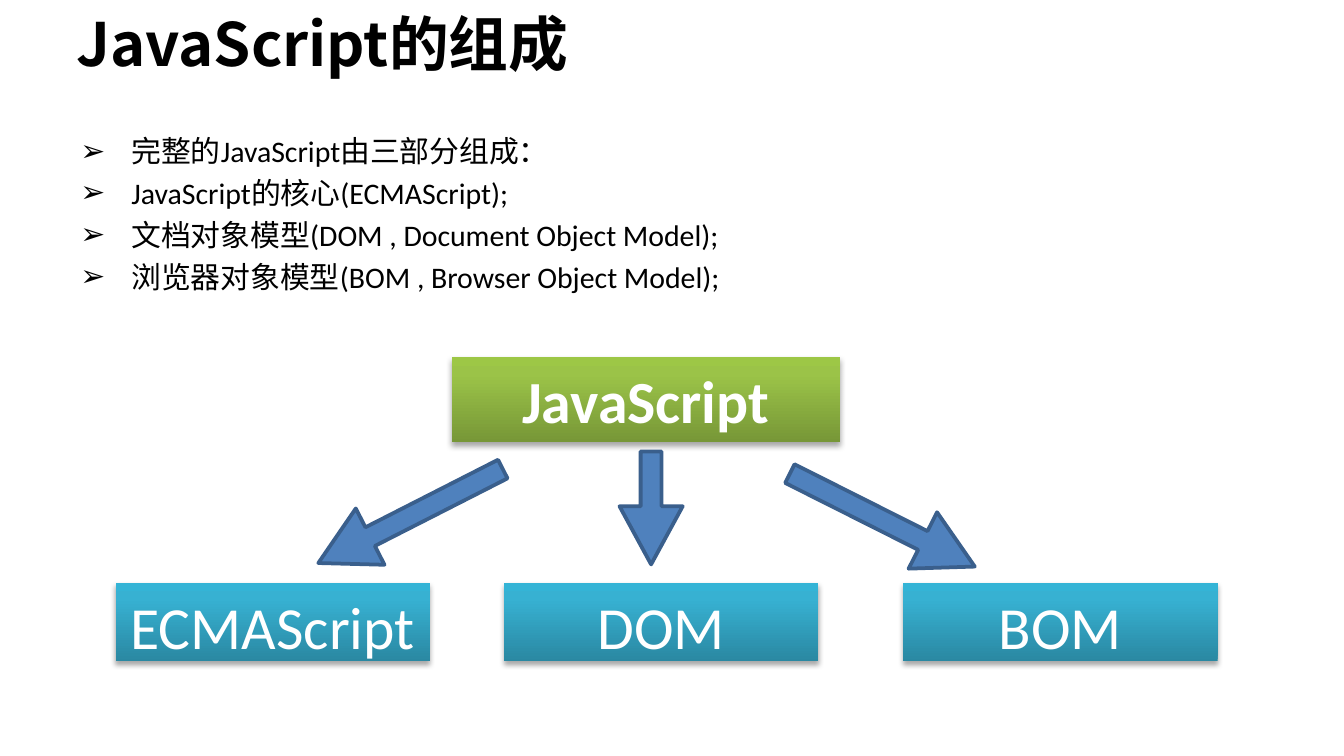
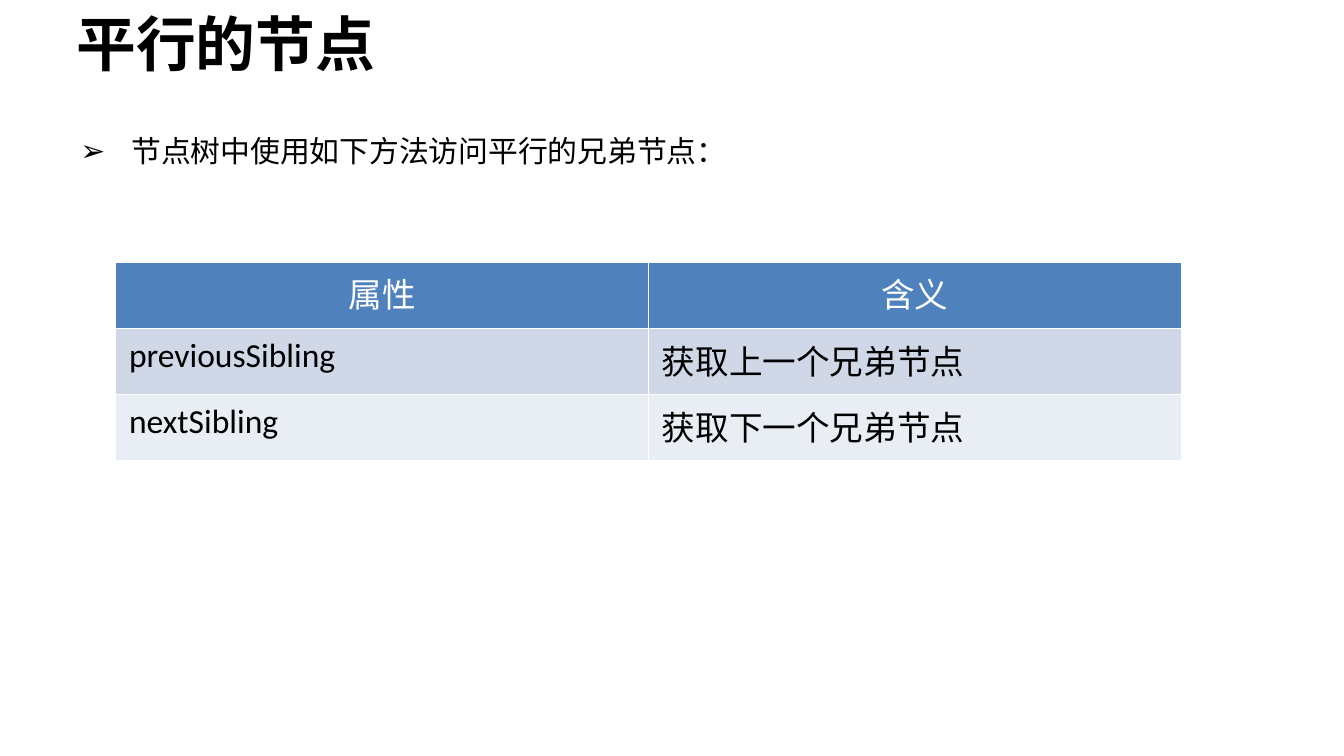
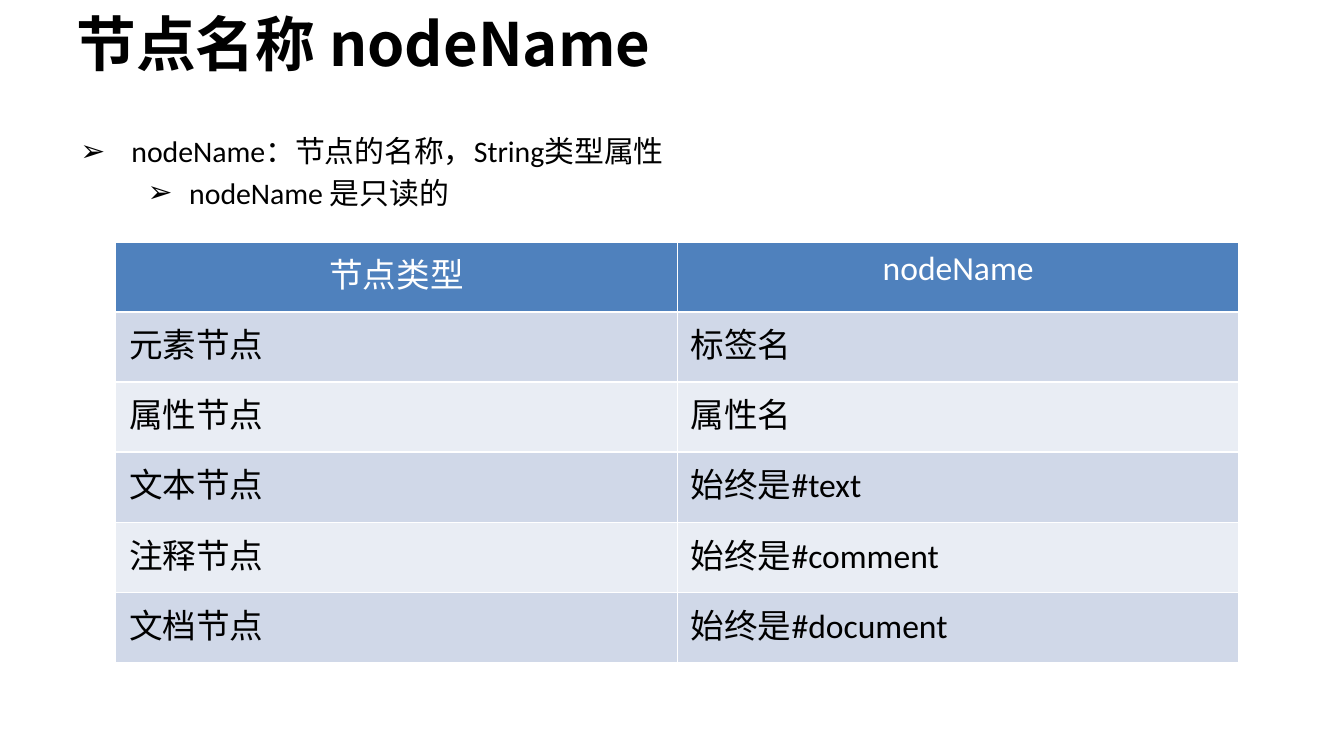
import copy

import pptx
import pptx.dml.color
import pptx.enum.shapes
import pptx.enum.text
import pptx.oxml.ns
import pptx.util
from lxml import etree

Inches = pptx.util.Inches
Pt = pptx.util.Pt
qn = pptx.oxml.ns.qn
MSO_SHAPE = pptx.enum.shapes.MSO_SHAPE
MSO_ANCHOR = pptx.enum.text.MSO_ANCHOR
PP_ALIGN = pptx.enum.text.PP_ALIGN

BODY_FONT, CJK_FONT = "Calibri", "Noto Sans CJK SC"
BLACK, WHITE = "000000", "FFFFFF"
BLUE, BLUE_EDGE = "4F81BD", "3A5F8C"
BANDS = ("D0D8E8", "E9EDF4")
GREEN_GRADIENT = ((0, "779737"), (0.8, "9BC348"), (1, "9DC746"))
TEAL_GRADIENT = ((0, "2A88A2"), (0.8, "37B1D2"), (1, "34B4D6"))
BULLET_INDENTS = ((0.38, -0.38), (0.81, -0.31))  # margin, first line by level

# Bullets are (level, text); a table is (left, top, width, height, rows).
SLIDES = [
    {
        "title": "JavaScript的组成",
        "bullets": [
            (0, "完整的JavaScript由三部分组成："),
            (0, "JavaScript的核心(ECMAScript);"),
            (0, "文档对象模型(DOM , Document Object Model);"),
            (0, "浏览器对象模型(BOM , Browser Object Model);"),
        ],
        "boxes": [
            ("JavaScript", (3.36, 2.66, 2.89, 0.63), GREEN_GRADIENT, True),
            ("ECMAScript", (0.86, 4.34, 2.34, 0.58), TEAL_GRADIENT, False),
            ("DOM", (3.75, 4.34, 2.34, 0.58), TEAL_GRADIENT, False),
            ("BOM", (6.72, 4.34, 2.34, 0.58), TEAL_GRADIENT, False),
        ],
        "arrows": [
            ((2.82, 3.07, 0.47, 1.54), 63),
            ((4.61, 3.36, 0.47, 0.84), 0),
            ((6.33, 3.1, 0.47, 1.54), 296.7),
        ],
    },
    {
        "title": "平行的节点",
        "bullets": [(0, "节点树中使用如下方法访问平行的兄弟节点：")],
        "table": (0.86, 1.95, 7.93, 1.48, [
            ("属性", "含义"),
            ("previousSibling", "获取上一个兄弟节点"),
            ("nextSibling", "获取下一个兄弟节点"),
        ]),
    },
    {
        "title": "节点名称 nodeName",
        "bullets": [
            (0, "nodeName：节点的名称，String类型属性"),
            (1, "nodeName 是只读的"),
        ],
        "table": (0.86, 1.8, 8.36, 3.13, [
            ("节点类型", "nodeName"),
            ("元素节点", "标签名"),
            ("属性节点", "属性名"),
            ("文本节点", "始终是#text"),
            ("注释节点", "始终是#comment"),
            ("文档节点", "始终是#document"),
        ]),
    },
]


def rgb(color):
    return pptx.dml.color.RGBColor.from_string(color)


def add_element(parent, tag, **attributes):
    return etree.SubElement(parent, qn(tag), attributes)


def add_run(paragraph, text, size, color, bold=False, font=BODY_FONT):
    run = paragraph.add_run()
    run.text = text
    run.font.size = Pt(size)
    run.font.bold = bold
    run.font.name = font
    run.font.color.rgb = rgb(color)
    add_element(run.font._element, "a:ea", typeface=CJK_FONT)


def add_text_frame(slide, left, top, width, height):
    text_box = slide.shapes.add_textbox(*map(Inches, (left, top, width, height)))
    text_box.text_frame.word_wrap = True
    return text_box.text_frame


def add_title(slide, title):
    frame = add_text_frame(slide, 0.47, 0.08, 9, 0.48)
    frame.vertical_anchor = MSO_ANCHOR.MIDDLE
    add_run(frame.paragraphs[0], title, 32, BLACK, True, CJK_FONT)


def add_bullets(slide, bullets):
    frame = add_text_frame(slide, 0.5, 0.94, 9, 4.38)
    for index, (level, text) in enumerate(bullets):
        paragraph = frame.add_paragraph() if index else frame.paragraphs[0]
        paragraph.level = level
        if index:
            paragraph.space_before = Pt(3.2)
        margin, first_line = BULLET_INDENTS[level]
        properties = paragraph._p.get_or_add_pPr()
        properties.set("marL", str(Inches(margin)))
        properties.set("indent", str(Inches(first_line)))
        add_element(properties, "a:buFont", typeface="Arial")
        add_element(properties, "a:buChar", char="➢")
        add_run(paragraph, text, 16, BLACK)


def fill_with_gradient(shape, stops):
    """Fill from the bottom up with three or more (position, colour) stops."""
    shape.fill.gradient()
    shape.fill.gradient_angle = 90
    stop_list = shape._element.spPr.find(".//" + qn("a:gsLst"))
    while len(stop_list) < len(stops):
        stop_list.append(copy.deepcopy(stop_list[0]))
    for stop, (position, color) in zip(shape.fill.gradient_stops, stops):
        stop.position = position
        stop.color.rgb = rgb(color)


def add_soft_shadow(shape):
    effects = shape._element.spPr.find(qn("a:effectLst"))
    shadow = add_element(effects, "a:outerShdw", blurRad=str(Pt(3.1)),
                         dist=str(Pt(1.8)), dir="5400000", rotWithShape="0")
    color = add_element(shadow, "a:srgbClr", val=BLACK)
    add_element(color, "a:alpha", val="35000")


def add_box(slide, text, place, gradient, bold):
    box = slide.shapes.add_shape(MSO_SHAPE.RECTANGLE, *map(Inches, place))
    fill_with_gradient(box, gradient)
    box.line.fill.background()
    box.shadow.inherit = False
    add_soft_shadow(box)
    frame = box.text_frame
    frame.word_wrap = True
    frame.vertical_anchor = MSO_ANCHOR.TOP
    frame.paragraphs[0].alignment = PP_ALIGN.CENTER
    add_run(frame.paragraphs[0], text, 32, WHITE, bold)


def add_arrow(slide, place, rotation):
    arrow = slide.shapes.add_shape(MSO_SHAPE.DOWN_ARROW, *map(Inches, place))
    arrow.rotation = rotation
    arrow.adjustments[0] = 0.33
    arrow.adjustments[1] = 0.92
    arrow.fill.solid()
    arrow.fill.fore_color.rgb = rgb(BLUE)
    arrow.line.color.rgb = rgb(BLUE_EDGE)
    arrow.line.width = Pt(2)
    arrow.shadow.inherit = False


def style_cell(cell, fill):
    properties = cell._tc.get_or_add_tcPr()
    for tag in ("a:lnL", "a:lnR", "a:lnT", "a:lnB"):
        line = add_element(properties, tag, w=str(Pt(1)))
        add_element(add_element(line, "a:solidFill"), "a:srgbClr", val=WHITE)
    cell.fill.solid()
    cell.fill.fore_color.rgb = rgb(fill)


def add_table(slide, left, top, width, height, rows):
    table = slide.shapes.add_table(
        len(rows), len(rows[0]), *map(Inches, (left, top, width, height))).table
    for row_index, row in enumerate(rows):
        is_header = row_index == 0
        fill = BLUE if is_header else BANDS[(row_index - 1) % len(BANDS)]
        for column_index, text in enumerate(row):
            cell = table.cell(row_index, column_index)
            style_cell(cell, fill)
            paragraph = cell.text_frame.paragraphs[0]
            if is_header:
                paragraph.alignment = PP_ALIGN.CENTER
            add_run(paragraph, text, 18, WHITE if is_header else BLACK)


def main():
    presentation = pptx.Presentation()
    presentation.slide_width = Inches(10)
    presentation.slide_height = presentation.slide_width * 9 // 16
    for content in SLIDES:
        slide = presentation.slides.add_slide(presentation.slide_layouts[6])
        add_title(slide, content["title"])
        add_bullets(slide, content["bullets"])
        for box in content.get("boxes", ()):
            add_box(slide, *box)
        for arrow in content.get("arrows", ()):
            add_arrow(slide, *arrow)
        if "table" in content:
            add_table(slide, *content["table"])
    presentation.save("out.pptx")


if __name__ == "__main__":
    main()
